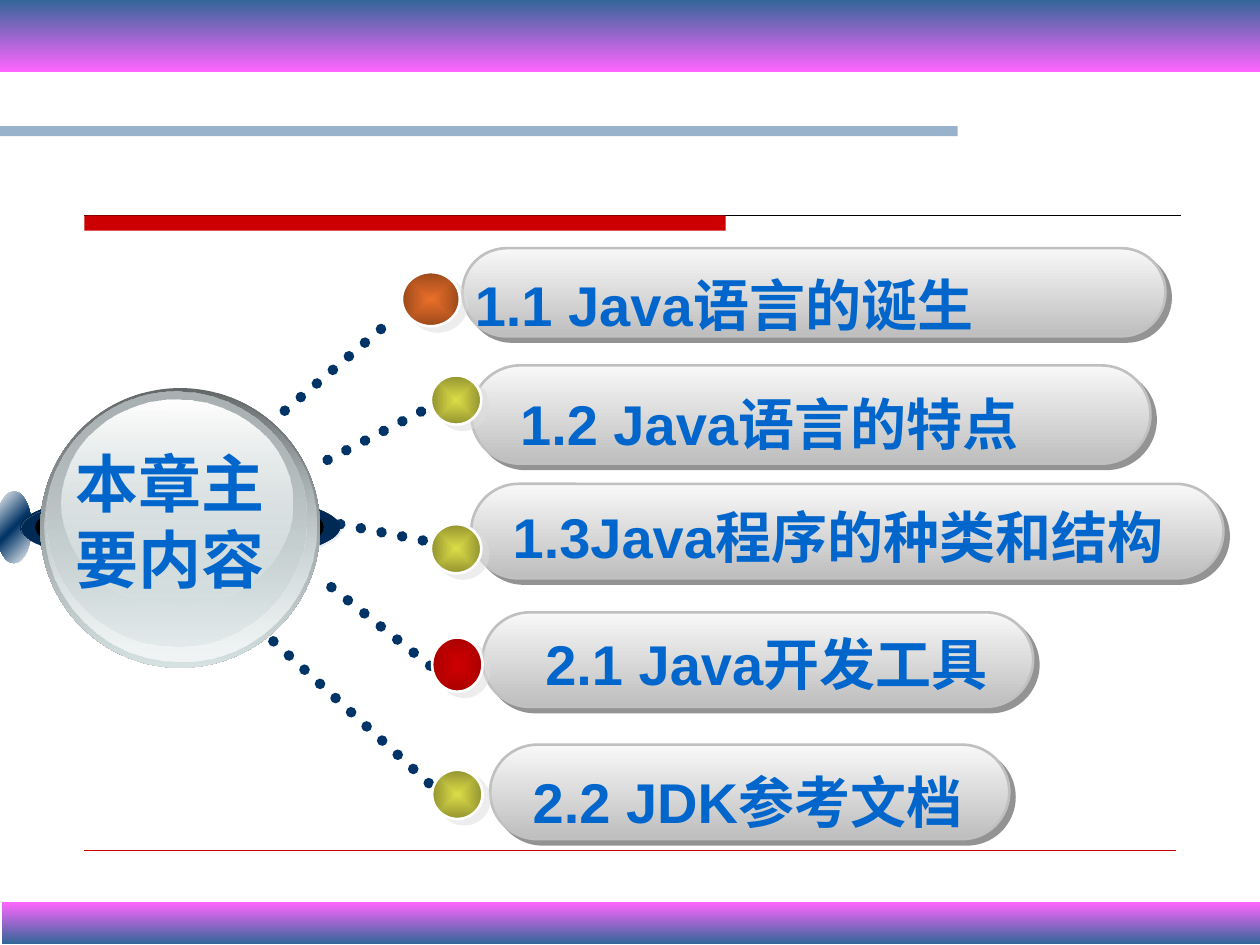
from lxml import etree
from pptx import Presentation
from pptx.dml.color import RGBColor
from pptx.enum.dml import MSO_LINE
from pptx.enum.shapes import MSO_CONNECTOR, MSO_SHAPE
from pptx.enum.text import MSO_ANCHOR
from pptx.oxml.ns import qn
from pptx.util import Inches, Pt

RECT, OVAL, PILL = MSO_SHAPE.RECTANGLE, MSO_SHAPE.OVAL, MSO_SHAPE.ROUNDED_RECTANGLE
STRAIGHT, DOTTED = MSO_CONNECTOR.STRAIGHT, MSO_LINE.ROUND_DOT
TOP, MIDDLE = MSO_ANCHOR.TOP, MSO_ANCHOR.MIDDLE

WHITE = RGBColor(0xFF, 0xFF, 0xFF)
BLACK = RGBColor(0x00, 0x00, 0x00)
RED = RGBColor(0xCC, 0x00, 0x00)
MAROON = RGBColor(0xAB, 0x00, 0x00)
STEEL = RGBColor(0x33, 0x66, 0x99)
PINK = RGBColor(0xFF, 0x66, 0xFF)
BLUE = RGBColor(0x00, 0x66, 0xCC)
NAVY = RGBColor(0x00, 0x33, 0x66)
DEEP = RGBColor(0x00, 0x27, 0x4E)
DUSK = RGBColor(0x00, 0x2A, 0x54)
SLATE = RGBColor(0x63, 0x68, 0x69)
ASH = RGBColor(0xAA, 0xB2, 0xB3)
MIST = RGBColor(0xD6, 0xE1, 0xE2)
FROST = RGBColor(0xF1, 0xF5, 0xF5)
PALE = RGBColor(0xF8, 0xF8, 0xF8)
GREY = RGBColor(0xBE, 0xBE, 0xBE)
SILVER = RGBColor(0xC0, 0xC0, 0xC0)
COAL = RGBColor(0x29, 0x29, 0x29)
LIGHT = RGBColor(0xDD, 0xDD, 0xDD)
ORANGE = RGBColor(0xE9, 0x6E, 0x29)
RUST = RGBColor(0x9B, 0x49, 0x1B)
LIME = RGBColor(0xDC, 0xDC, 0x48)
OLIVE = RGBColor(0x93, 0x93, 0x30)

LATIN, HAN = "Arial", "Noto Sans CJK SC"

TOPICS = [
    ("1.1 Java语言的诞生", (3.67, 1.97, 5.58, 0.7), (3.67, 1.94, 5.66, 0.8),
     (3.19, 2.16, 0.46, 0.43), (ORANGE, RUST), (2.26, 3.26, 3.12, 2.53)),
    ("1.2 Java语言的特点", (3.74, 2.9, 5.39, 0.78), (4.03, 2.88, 4.45, 0.65),
     (3.42, 2.98, 0.4, 0.39), (LIME, OLIVE), (2.6, 3.65, 3.51, 3.18)),
    ("1.3Java程序的种类和结构", (3.74, 3.84, 5.97, 0.75), (3.97, 3.78, 5.91, 0.8),
     (3.42, 4.16, 0.4, 0.39), (LIME, OLIVE), (2.7, 4.16, 3.51, 4.32)),
    ("2.1 Java开发工具", (3.83, 4.86, 4.37, 0.75), (4.23, 4.79, 4, 0.72),
     (3.43, 5.06, 0.4, 0.43), (RED, MAROON), (2.63, 4.66, 3.51, 5.36)),
    ("2.2 JDK参考文档", (3.89, 5.91, 4.12, 0.75), (4.13, 5.88, 4.33, 0.99),
     (3.43, 6.11, 0.4, 0.39), (LIME, OLIVE), (2.17, 5.09, 3.43, 6.24)),
]

RINGS = [
    ((-0.03, 3.9, 0.28, 0.57), [(0, WHITE, 100), (50, NAVY, 100), (100, WHITE, 100)], 45),
    ((0.16, 3.9, 2.54, 0.57), [(0, DEEP, 100), (50, NAVY, 100), (100, DEEP, 100)], 315),
    ((0.17, 3.91, 2.54, 0.57), [(0, DUSK, 100), (100, NAVY, 0)], 45),
    ((0.28, 3.9, 2.29, 0.57), [(0, BLACK, 100), (100, BLACK, 100)], 90),
    ((0.32, 3.08, 2.22, 2.22), [(0, SLATE, 100), (100, MIST, 100)], 90),
    ((0.35, 3.09, 2.16, 2.16), [(0, MIST, 0), (100, FROST, 100)], 90),
    ((0.37, 3.11, 2.06, 2.02), [(0, ASH, 100), (100, MIST, 48)], 90),
    ((0.49, 3.17, 1.83, 1.64), [(0, WHITE, 100), (100, MIST, 38)], 90),
]


def add_node(parent, tag, **attrs):
    """Add a drawing element with its attributes."""
    node = etree.SubElement(parent, qn(tag))
    for key, value in attrs.items():
        node.set(key, str(value))
    return node


def add_tint(parent, color, alpha):
    """Add a colour with an opacity in percent."""
    node = add_node(parent, "a:srgbClr", val=color)
    if alpha < 100:
        add_node(node, "a:alpha", val=alpha * 1000)


def add_form(slide, kind, box, color, edge=None):
    """Add a flat shape with an optional edge colour."""
    form = slide.shapes.add_shape(kind, *map(Inches, box))
    form.shadow.inherit = False
    form.fill.solid()
    form.fill.fore_color.rgb = color
    if edge is None:
        form.line.fill.background()
    else:
        form.line.color.rgb = edge
        form.line.width = Pt(1.5)
    return form


def set_blend(form, stops, angle=None):
    """Fill a shape with a linear blend, or a radial one without an angle."""
    old = form._element.spPr.find(qn("a:solidFill"))
    fill = etree.Element(qn("a:gradFill"), rotWithShape="1")
    row = add_node(fill, "a:gsLst")
    for pos, color, alpha in stops:
        add_tint(add_node(row, "a:gs", pos=pos * 1000), color, alpha)
    if angle is None:
        route = add_node(fill, "a:path", path="shape")
        add_node(route, "a:fillToRect", l=50000, t=50000, r=50000, b=50000)
    else:
        add_node(fill, "a:lin", ang=angle * 60000, scaled=0)
    old.getparent().replace(old, fill)


def set_shade(form, color, gap, angle):
    """Give a shape a half-clear offset shadow."""
    effects = form._element.spPr.find(qn("a:effectLst"))
    shade = add_node(effects, "a:outerShdw", blurRad=0, dist=int(Pt(gap)),
                     dir=angle * 60000, algn="ctr", rotWithShape=0)
    add_tint(shade, color, 50)


def add_line(slide, ends, color, width):
    """Add a straight line between two points."""
    line = slide.shapes.add_connector(STRAIGHT, *map(Inches, ends))
    line.line.color.rgb = color
    line.line.width = Pt(width)
    add_node(line._element.spPr, "a:effectLst")
    return line


def add_label(slide, box, rows, size, font, anchor=TOP, pitch=None):
    """Add bold blue text, with a line break between rows."""
    frame = slide.shapes.add_textbox(*map(Inches, box)).text_frame
    frame.word_wrap = True
    frame.vertical_anchor = anchor
    para = frame.paragraphs[0]
    para.line_spacing = pitch
    for index, text in enumerate(rows):
        if index:
            para.add_line_break()
        run = para.add_run()
        run.text = text
        run.font.size = Pt(size)
        run.font.bold = True
        run.font.name = font
        run.font.color.rgb = BLUE
        add_node(run.font._element, "a:ea", typeface=HAN)


def add_rules(slide, left, top, width, height):
    """Place the title bar and the rules around the body."""
    add_line(slide, (left, top, left + width, top), BLACK, 0.75)
    add_form(slide, RECT, (left, top, 5.09, 0.12), RED)
    base = top + height
    add_line(slide, (left, base, 9.33, base), RED, 0.25)
    band = add_form(slide, RECT, (0, 1, 7.6, 0.08), STEEL)
    set_blend(band, [(0, STEEL, 50), (100, STEEL, 50)], 90)


def add_spoke(slide, ends):
    """Place a dotted line from the hub to a topic."""
    spoke = add_line(slide, ends, NAVY, 6)
    spoke.line.dash_style = DOTTED
    spoke._element.spPr.find(qn("a:ln")).set("cap", "rnd")


def add_hub(slide):
    """Place the layered glass ball."""
    for box, stops, angle in RINGS:
        set_blend(add_form(slide, OVAL, box, WHITE), stops, angle)


def add_topic(slide, text, box, area, spot, tones):
    """Place one topic pill with its dot and label."""
    pill = add_form(slide, PILL, box, PALE, SILVER)
    pill.adjustments[0] = 0.5
    set_blend(pill, [(0, PALE, 100), (100, GREY, 100)], 90)
    set_shade(pill, COAL, 4.2, 45)
    dot = add_form(slide, OVAL, spot, tones[0], WHITE)
    set_blend(dot, [(0, tones[0], 100), (100, tones[1], 100)])
    set_shade(dot, LIGHT, 5, 37)
    add_label(slide, area, [text], 32, LATIN, pitch=1.3)


def add_band(slide, box, first, last):
    """Place a blended band across the page."""
    band = add_form(slide, RECT, box, first)
    set_blend(band, [(0, first, 100), (100, last, 100)], 90)


def main():
    """Build and save the slide."""
    deck = Presentation()
    deck.slide_width, deck.slide_height = Inches(10), Inches(7.5)
    slide = deck.slides.add_slide(deck.slide_layouts[6])
    add_rules(slide, 0.67, 1.71, 8.7, 5.04)
    for topic in TOPICS:
        add_spoke(slide, topic[-1])
    add_hub(slide)
    for topic in TOPICS:
        add_topic(slide, *topic[:-1])
    add_label(slide, (0.5, 3.23, 1.9, 1.8), ["本章主", "要内容"], 36, HAN, MIDDLE)
    add_band(slide, (0.02, 7.16, 10, 0.33), PINK, STEEL)
    add_band(slide, (0, 0, 10, 0.57), STEEL, PINK)
    deck.save("out.pptx")


if __name__ == "__main__":
    main()
